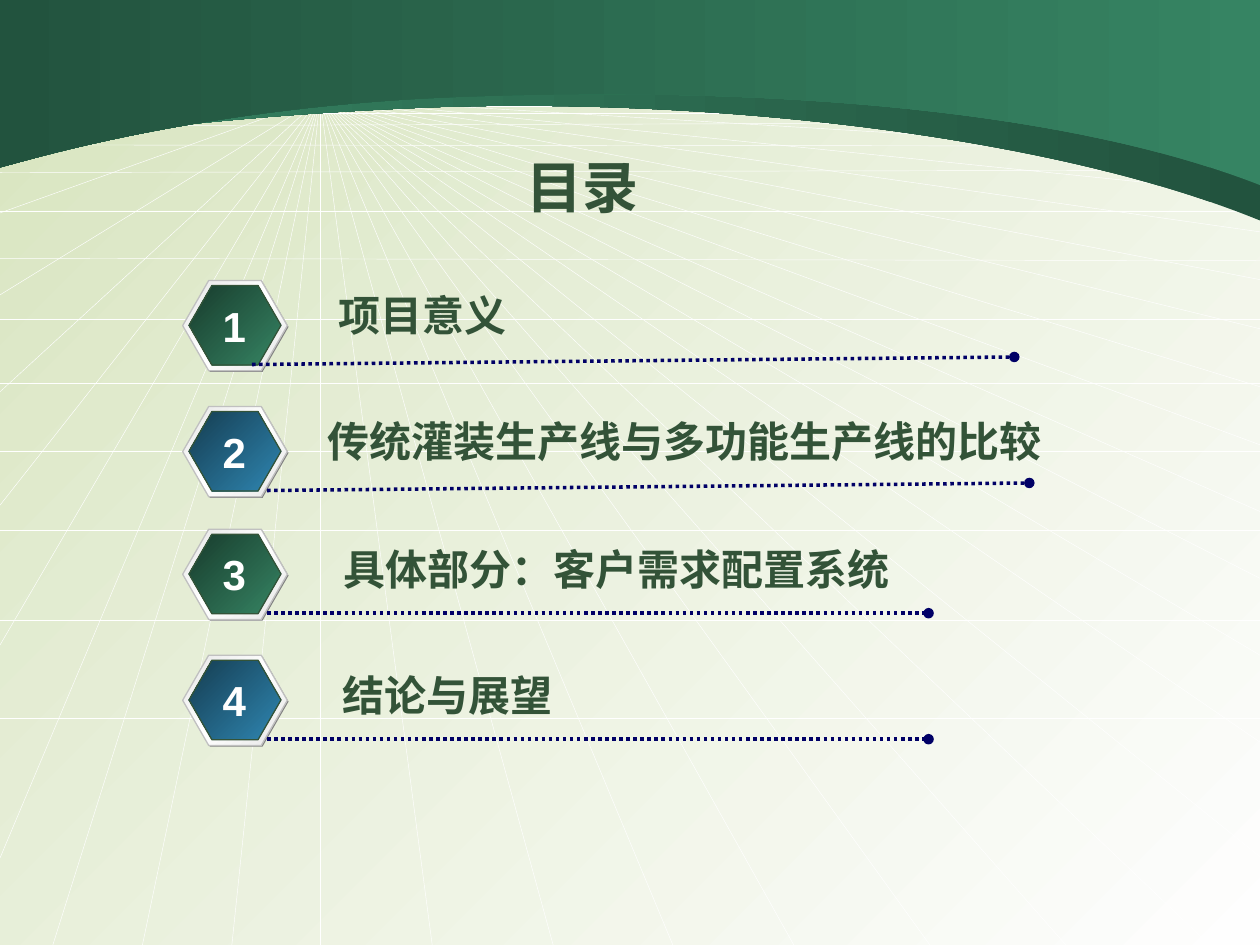
from copy import deepcopy
from dataclasses import dataclass

from lxml.etree import SubElement
from pptx import Presentation
from pptx.dml.color import RGBColor as RGB
from pptx.enum.dml import MSO_LINE_DASH_STYLE as DASH
from pptx.enum.shapes import MSO_CONNECTOR as CONN, MSO_SHAPE as SHAPE
from pptx.enum.text import MSO_ANCHOR as ANCHOR, PP_ALIGN as ALIGN
from pptx.oxml.ns import qn
from pptx.util import Pt


@dataclass(frozen=True)
class Theme:
    paper: tuple = ("FEFEFE", "D7E4BE")
    lower_band: tuple = ("22533E", "368463")
    upper_band: tuple = ("368463", "22533E")
    green: tuple = ("368463", "183C2D")
    blue: tuple = ("2F86B1", "153D51")
    bevel: tuple = ("E6E6E6", "FFFFFF", "E6E6E6")
    shade: str = "808080"
    bevel_edge: str = "C0C0C0"
    ink: str = "335338"
    white: str = "FFFFFF"
    navy: str = "000066"
    font: str = "Arial"
    title_font: str = "DejaVu Sans"
    title_size: int = 32
    item_size: int = 24
    grid_width: float = 0.26
    edge_width: float = 0.74
    rule_width: float = 2


T = Theme()
W, H = 720, 540
VANISH = (182.9, 56.2)
RIGHT_YS = (72, 88.6, 110.9, 132.5, 159.8, 187.9, 221, 254.2, 292.3,
            330.5, 374.4, 424.1, 489.6)
BOTTOM_XS = (691.2, 609.1, 531.4, 453.6, 384.5, 316.1, 247, 182.9, 132.5,
             81.4, 30.2)
LEFT_YS = (490.3, 368.6, 288.7, 223.9, 168.5, 121.7, 83.5, 69.8, 56.2)
LEVEL_YS = ((410.4, 410.4), (354.2, 354.2), (303.1, 303.1), (257.8, 257.8),
            (218.9, 218.9), (182.2, 182.2), (147.6, 149), (121, 121),
            (98.6, 97.2), (82.8, 83.5), (72, 69.8), (64.8, 64.8), (60.5, 60.5))
LOWER_CURVE = [(-0.7, 85.7), (7.9, 85), (95.8, 67), (249.8, 61.2),
               (403.9, 56.2), (598.3, 76.3), (720, 126)]
UPPER_CURVE = [(-0.7, 95.8), (7.9, 94.3), (108.7, 61.2), (262.1, 55.4),
               (415.4, 49.7), (598.3, 58.3), (720, 105.8)]
ITEMS = (
    ("项目意义", T.green, 160.3, (186.5, 162, 111), (144, 579.6), 4.3),
    ("传统灌装生产线与多功能生产线的比较", T.blue, 232.3, (180, 234, 450), (152.6, 588.2), 4.3),
    ("具体部分：客户需求配置系统", T.green, 302.4, (189.4, 307, 328), (152.6, 530.6), 0),
    ("结论与展望", T.blue, 374.4, (188.6, 379, 171.4), (152.6, 530.6), 0),
)


def rgb(color):
    return RGB.from_string(color)


def paint_gradient(fill, colors, angle):
    fill.gradient()
    fill.gradient_angle = angle
    first = fill.gradient_stops[0]._gs
    for _ in colors[2:]:
        first.addnext(deepcopy(first))
    for i, (stop, color) in enumerate(zip(fill.gradient_stops, colors)):
        stop.position = i / (len(colors) - 1)
        stop.color.rgb = rgb(color)


def add_line(s, start, end, color, width):
    c = s.shapes.add_connector(CONN.STRAIGHT, *map(Pt, (*start, *end)))
    c.line.color.rgb = rgb(color)
    c.line.width = Pt(width)
    SubElement(c._element.spPr, qn("a:effectLst"))
    return c


def add_rule(s, start, end):
    c = add_line(s, start, end, T.navy, T.rule_width)
    c.line.dash_style = DASH.ROUND_DOT
    SubElement(c.line._get_or_add_ln(), qn("a:tailEnd"), type="oval")


def add_hexagon(s, x, y, w, h, fill, edge=None):
    sp = s.shapes.add_shape(SHAPE.HEXAGON, *map(Pt, (x, y, w, h)))
    sp.shadow.inherit = False
    sp.adjustments[0] = 0.289
    sp.adjustments[1] = 1.155
    if isinstance(fill, tuple):
        paint_gradient(sp.fill, fill, 135)
    else:
        sp.fill.solid()
        sp.fill.fore_color.rgb = rgb(fill)
    if edge:
        sp.line.color.rgb = rgb(edge)
        sp.line.width = Pt(T.edge_width)
    else:
        sp.line.fill.background()


def add_text(s, box, text, color, size, font, align=ALIGN.LEFT,
             anchor=ANCHOR.TOP, wrap=False):
    tf = s.shapes.add_textbox(*map(Pt, box)).text_frame
    tf.word_wrap = wrap
    tf.vertical_anchor = anchor
    p = tf.paragraphs[0]
    p.alignment = align
    r = p.add_run()
    r.text = text
    r.font.name = font
    r.font.size = Pt(size)
    r.font.bold = True
    r.font.color.rgb = rgb(color)


def bend(segments):
    curve = segments[0].makeelement(qn("a:cubicBezTo"))
    segments[0].addprevious(curve)
    for segment in segments:
        curve.append(segment[0])
        segment.getparent().remove(segment)


def add_band(s, curve, colors):
    left = curve[0][0]
    points = [*curve, (W, 0), (left, 0)]
    fb = s.shapes.build_freeform(Pt(left), 0, scale=1.0)
    fb.add_line_segments([(Pt(x), Pt(y)) for x, y in points], close=True)
    sp = fb.convert_to_shape()
    segments = list(sp._element.iter(qn("a:lnTo")))
    bend(segments[1:4])
    bend(segments[4:7])
    sp.shadow.inherit = False
    paint_gradient(sp.fill, colors, 180)
    sp.line.fill.background()


def add_grid(s):
    ends = [(W, y) for y in RIGHT_YS]
    ends += [(x, H) for x in BOTTOM_XS]
    ends += [(0, y) for y in LEFT_YS]
    for end in ends:
        add_line(s, VANISH, end, T.white, T.grid_width)
    for left_y, right_y in LEVEL_YS:
        add_line(s, (0, left_y), (W, right_y), T.white, T.grid_width)


def move_to_master(s, master):
    tree = master.shapes._spTree
    for i, sp in enumerate(list(s.shapes), 100):
        sp._element.xpath(".//p:cNvPr")[0].set("id", str(i))
        tree.append(sp._element)


def add_item(s, number, text, colors, top, label, rule, rise):
    add_hexagon(s, 105.1, top + 0.7, 59.8, 51.6, T.shade)
    add_hexagon(s, 104.4, top, 59.8, 51.6, T.bevel, T.bevel_edge)
    add_hexagon(s, 108, top + 2.9, 52.6, 45.4, colors, T.ink)
    x, y, w = label
    add_text(s, (x, y, w, 36), text, T.ink, T.item_size, T.font)
    add_text(s, (120.2, top + 7.7, 27.4, 36), str(number), T.white,
             T.item_size, T.font, ALIGN.CENTER)
    left, right = rule
    add_rule(s, (left, top + 48), (right, top + 48 - rise))


def main():
    prs = Presentation()
    prs.slide_width, prs.slide_height = Pt(W), Pt(H)
    s = prs.slides.add_slide(prs.slide_layouts[6])
    paint_gradient(s.background.fill, T.paper, 135)
    add_grid(s)
    add_band(s, LOWER_CURVE, T.lower_band)
    add_band(s, UPPER_CURVE, T.upper_band)
    move_to_master(s, prs.slide_master)
    for number, item in enumerate(ITEMS, 1):
        add_item(s, number, *item)
    add_text(s, (41.8, 84.2, 581.8, 44.6), "目录", T.ink, T.title_size,
             T.title_font, ALIGN.CENTER, ANCHOR.MIDDLE, True)
    prs.save("out.pptx")


main()
